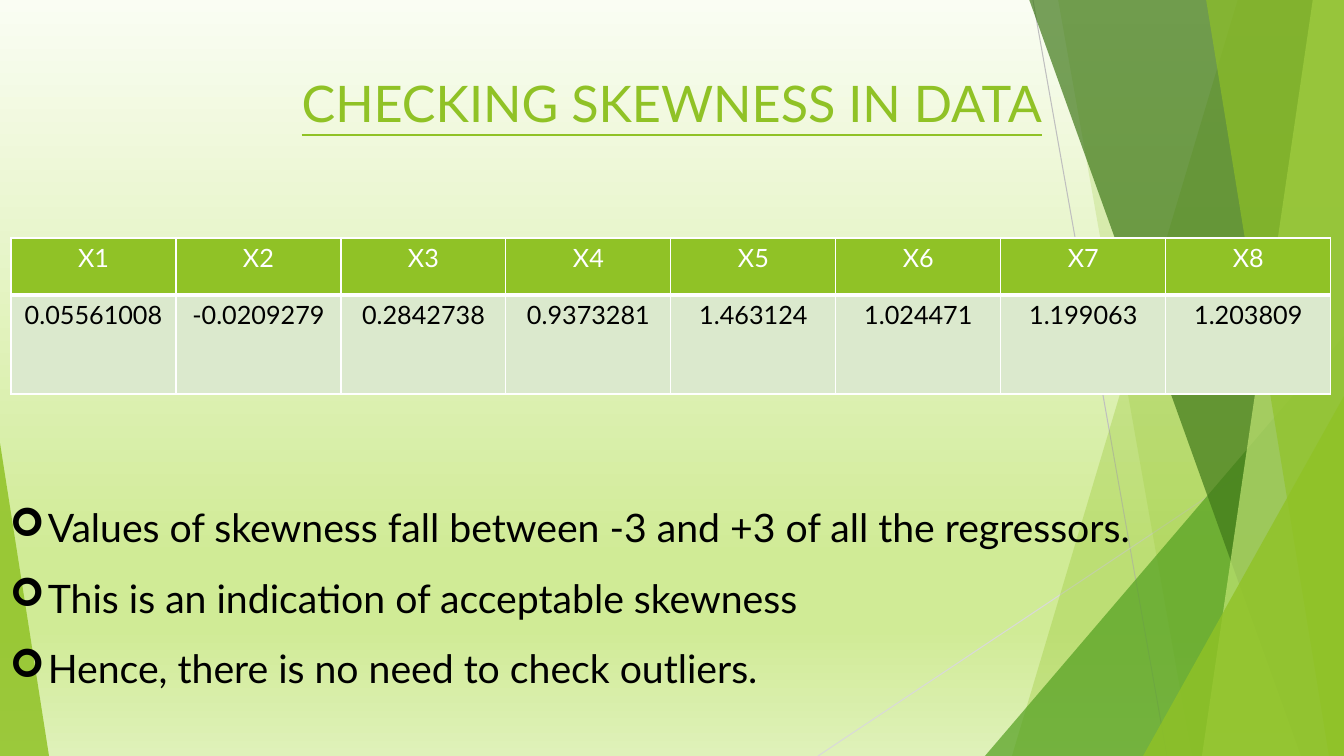
from lxml import etree
from pptx import Presentation
from pptx.dml.color import RGBColor
from pptx.enum.shapes import MSO_CONNECTOR, MSO_SHAPE
from pptx.enum.text import MSO_ANCHOR, PP_ALIGN
from pptx.oxml.ns import qn
from pptx.util import Pt

TITLE = "CHECKING SKEWNESS IN DATA"
SKEW = {
    "X1": "0.05561008", "X2": "-0.0209279", "X3": "0.2842738", "X4": "0.9373281",
    "X5": "1.463124", "X6": "1.024471", "X7": "1.199063", "X8": "1.203809",
}
POINTS = [
    "Values of skewness fall between -3 and +3 of all the regressors.",
    "This is an indication of acceptable skewness",
    "Hence, there is no need to check outliers.",
]

LIME, WHITE, BLACK, PALE = "90C226", "FFFFFF", "000000", "DBE9CD"
FONT = "Lato"
WIDE, HIGH = 1344, 756
SCALE = 914400 / 100.8

STOPS = [(0, "FAFDF3"), (74, "D0EB96"), (83, "D0EB96"), (100, "DFF1B9")]
# x1, y1, x2, y2, colour
RULES = [(1033, 0, 1167, 756, "BFBFBF"), (1344, 406, 818, 756, "D9D9D9")]
# Bands: top x, bottom x. Peaks: left, top, width, height, apex. Then colour, opacity
SHARDS = [
    ("band", (1238, 1012), LIME, 30),
    ("band", (1058, 1192), LIME, 20),
    ("peak", (985, 336, 359, 420, 1), "54A021", 72),
    ("band", (1029, 1301), "3F7819", 70),
    ("band", (1313, 1202), "C0E474", 70),
    ("band", (1206, 1329), LIME, 65),
    ("peak", (1143, 396, 201, 360, 1), LIME, 80),
    ("peak", (0, 443, 49, 313, 0), LIME, 85),
]

GRID = (11, 238)
COL, ROWS = 165, (57, 99)

LINE = MSO_CONNECTOR.STRAIGHT
PEAK = MSO_SHAPE.ISOSCELES_TRIANGLE
TOP = MSO_ANCHOR.TOP
LEFT, MID = PP_ALIGN.LEFT, PP_ALIGN.CENTER


def px(n):
    return round(n * SCALE)


def color(code):
    return RGBColor.from_string(code)


def sub(node, tag, **attrs):
    return etree.SubElement(node, qn(tag), {k: str(v) for k, v in attrs.items()})


def write(para, text, size, code, align=LEFT):
    para.alignment = align
    run = para.add_run()
    run.text = text
    run.font.size = Pt(size)
    run.font.name = FONT
    run.font.color.rgb = color(code)
    return run


def frame(slide, *box):
    """Add a wrapping text box and return its text frame."""
    text = slide.shapes.add_textbox(*map(px, box)).text_frame
    text.word_wrap = True
    text.vertical_anchor = TOP
    return text


def backdrop(slide):
    fill = slide.background.fill
    fill.gradient()
    fill.gradient_angle = 270
    stops = next(slide.element.iter(qn("a:gsLst")))
    for old in list(stops):
        stops.remove(old)
    for pos, code in STOPS:
        sub(sub(stops, "a:gs", pos=pos * 1000), "a:srgbClr", val=code)


def rule(slide, x1, y1, x2, y2, code):
    line = slide.shapes.add_connector(LINE, *map(px, (x1, y1, x2, y2)))
    line.line.color.rgb = color(code)
    line.line.width = Pt(0.75)
    sub(line.element.spPr, "a:effectLst")


def shard(slide, kind, place, code, alpha):
    if kind == "band":
        top, base = place
        path = slide.shapes.build_freeform(top, -1, SCALE)
        path.add_line_segments([(WIDE, -1), (WIDE, HIGH), (base, HIGH)])
        shape = path.convert_to_shape()
    else:
        *box, apex = place
        shape = slide.shapes.add_shape(PEAK, *map(px, box))
        shape.adjustments[0] = apex
    shape.shadow.inherit = False
    shape.line.fill.background()
    shape.fill.solid()
    shape.fill.fore_color.rgb = color(code)
    tint = shape.element.spPr.find(qn("a:solidFill"))[0]
    sub(tint, "a:alpha", val=alpha * 1000)


def border(cell, thick):
    """Draw white cell borders, heavier on the side named by thick."""
    props = cell._tc.get_or_add_tcPr()
    for side in ("a:lnL", "a:lnR", "a:lnT", "a:lnB"):
        edge = sub(props, side, w=Pt(3 if side == thick else 1))
        sub(sub(edge, "a:solidFill"), "a:srgbClr", val=WHITE)


def table(slide):
    count = len(SKEW)
    box = (*GRID, COL * count, sum(ROWS))
    grid = slide.shapes.add_table(len(ROWS), count, *map(px, box)).table
    for col in grid.columns:
        col.width = px(COL)
    looks = [(SKEW.keys(), LIME, WHITE, "a:lnB"), (SKEW.values(), PALE, BLACK, "a:lnT")]
    for r, (texts, back, ink, thick) in enumerate(looks):
        grid.rows[r].height = px(ROWS[r])
        for c, text in enumerate(texts):
            cell = grid.cell(r, c)
            border(cell, thick)
            cell.fill.solid()
            cell.fill.fore_color.rgb = color(back)
            write(cell.text_frame.paragraphs[0], text, 18, ink, MID)


def bullets(slide):
    text = frame(slide, 0, 475, WIDE, 215)
    for i, point in enumerate(POINTS):
        para = text.add_paragraph() if i else text.paragraphs[0]
        write(para, point, 28, BLACK)
        para.line_spacing = 1.5
        props = para._p.get_or_add_pPr()
        props.set("marL", str(px(38)))
        props.set("indent", str(-px(38)))
        sub(props, "a:buFont", typeface="Wingdings")
        sub(props, "a:buChar", char="➢")


def main():
    deck = Presentation()
    deck.slide_width, deck.slide_height = px(WIDE), px(HIGH)
    slide = deck.slides.add_slide(deck.slide_layouts[6])
    backdrop(slide)
    for item in RULES:
        rule(slide, *item)
    for item in SHARDS:
        shard(slide, *item)
    head = frame(slide, 0, 67, WIDE, 145)
    write(head.paragraphs[0], TITLE, 36, LIME, MID).font.underline = True
    table(slide)
    bullets(slide)
    deck.save("out.pptx")


if __name__ == "__main__":
    main()
